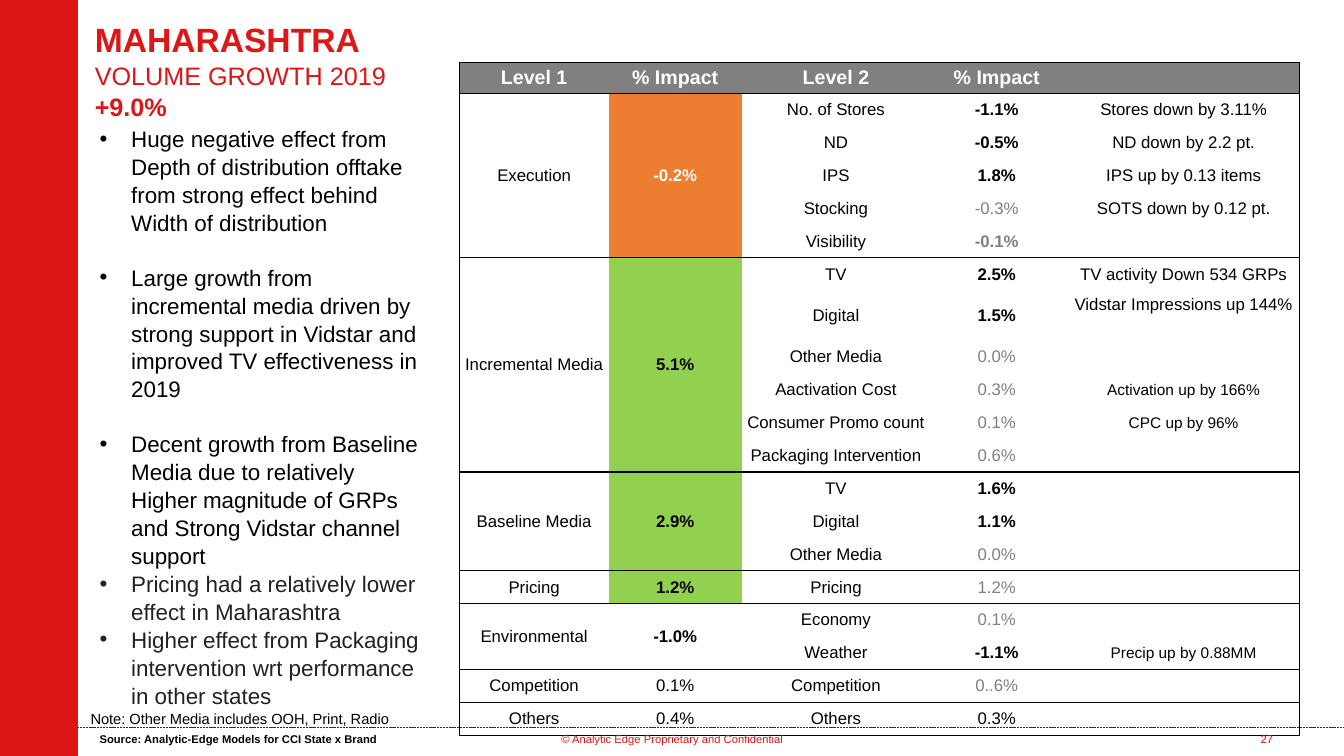
from lxml.etree import SubElement
from pptx import Presentation
from pptx.dml.color import RGBColor
from pptx.enum.dml import MSO_LINE
from pptx.enum.shapes import MSO_CONNECTOR, MSO_SHAPE
from pptx.enum.text import MSO_ANCHOR, MSO_AUTO_SIZE, PP_ALIGN
from pptx.oxml.ns import qn
from pptx.util import Pt

RED = RGBColor(0xDD, 0x16, 0x18)
PURE = RGBColor(0xFF, 0x00, 0x00)
BLACK = RGBColor(0x00, 0x00, 0x00)
INK = RGBColor(0x22, 0x22, 0x22)
RULE = RGBColor(0x2E, 0x2E, 0x30)
GRAY = RGBColor(0x80, 0x80, 0x80)
WHITE = RGBColor(0xFF, 0xFF, 0xFF)
ORANGE = RGBColor(0xED, 0x7D, 0x31)
GREEN = RGBColor(0x92, 0xD0, 0x50)

# Colour and weight of a table value
HEAD = (WHITE, True)
STRONG = (BLACK, True)
PLAIN = (BLACK, False)
FAINT = (GRAY, False)
DIM = (GRAY, True)


def write(para, text, size, color, bold=False):
    run = para.add_run()
    run.text = text
    font = run.font
    font.name = "Arial"
    font.size = Pt(size)
    font.bold = bold
    font.color.rgb = color


def fill_cell(cell, text, size, style, edges, fill=None):
    """Draw black lines on the sides named in edges, then fill and write."""
    props = cell._tc.get_or_add_tcPr()
    for side in "LRTB":
        line = SubElement(props, qn("a:ln" + side), w=str(Pt(1)))
        if side in edges:
            paint = SubElement(line, qn("a:solidFill"))
            SubElement(paint, qn("a:srgbClr"), val=str(BLACK))
        else:
            SubElement(line, qn("a:noFill"))
    if fill is None:
        cell.fill.background()
    else:
        cell.fill.solid()
        cell.fill.fore_color.rgb = fill
    cell.vertical_anchor = MSO_ANCHOR.MIDDLE
    cell.margin_left = cell.margin_right = Pt(0.72)
    cell.margin_top = cell.margin_bottom = Pt(0)
    if text:
        para = cell.text_frame.paragraphs[0]
        para.alignment = PP_ALIGN.CENTER
        write(para, text, size, *style)


prs = Presentation()
prs.slide_width, prs.slide_height = Pt(960), Pt(540)
slide = prs.slides.add_slide(prs.slide_layouts[1])
shapes = slide.shapes

# Footer rule and side bar
rule = shapes.add_connector(MSO_CONNECTOR.STRAIGHT, Pt(51), Pt(519.2), Pt(960), Pt(519.2))
rule.line.color.rgb = RULE
rule.line.width = Pt(0.5)
rule.line.dash_style = MSO_LINE.SQUARE_DOT
SubElement(rule._element.spPr, qn("a:effectLst"))

bar = shapes.add_shape(MSO_SHAPE.RECTANGLE, Pt(0), Pt(0), Pt(55.6), Pt(540))
bar.shadow.inherit = False
bar.fill.solid()
bar.fill.fore_color.rgb = RED
bar.line.fill.background()

# Title and bullets
title, body = shapes.title, slide.placeholders[1]
for holder, box in ((title, (60.5, 8.6, 738, 62)), (body, (64, 85, 247, 433.5))):
    holder.left, holder.top, holder.width, holder.height = map(Pt, box)
    frame = holder.text_frame
    frame.word_wrap = True
    frame.auto_size = MSO_AUTO_SIZE.NONE
    frame.vertical_anchor = MSO_ANCHOR.TOP

para = title.text_frame.paragraphs[0]
para.alignment = PP_ALIGN.LEFT
para.line_spacing = 1.04
write(para, "MAHARASHTRA", 24, RED, True)
para.add_line_break()
write(para, "VOLUME GROWTH 2019", 18, RED)
para.add_line_break()
write(para, "+9.0%", 18, RED, True)

points = [
    ("Huge negative effect from Depth of distribution offtake from strong effect "
     "behind Width of distribution", BLACK, 0),
    ("Large growth from incremental media driven by strong support in Vidstar and "
     "improved TV effectiveness in 2019", BLACK, 19.2),
    ("Decent growth from Baseline Media due to relatively Higher magnitude of GRPs "
     "and Strong Vidstar channel support", BLACK, 19.2),
    ("Pricing had a relatively lower effect in Maharashtra", INK, 0),
    ("Higher effect from Packaging intervention wrt performance in other states", INK, 0),
]
frame = body.text_frame
for i, (text, color, gap) in enumerate(points):
    para = frame.add_paragraph() if i else frame.paragraphs[0]
    props = para._p.get_or_add_pPr()
    props.set("marL", str(Pt(22.5)))
    props.set("indent", str(Pt(-22.5)))
    para.line_spacing = 1.04
    para.space_before = Pt(gap)
    SubElement(props, qn("a:buFont"), typeface="Arial")
    SubElement(props, qn("a:buChar"), char="•")
    write(para, text, 16, color)

# Impact table: level 1, impact, style, fill, then level 2 rows
groups = [
    ("Execution", "-0.2%", HEAD, ORANGE, [
        ("No. of Stores", "-1.1%", STRONG, "Stores down by 3.11%", 12),
        ("ND", "-0.5%", STRONG, "ND down by 2.2 pt.", 12),
        ("IPS", "1.8%", STRONG, "IPS up by 0.13 items", 12),
        ("Stocking", "-0.3%", FAINT, "SOTS down by 0.12 pt.", 12),
        ("Visibility", "-0.1%", DIM, "", 12)]),
    ("Incremental Media", "5.1%", STRONG, GREEN, [
        ("TV", "2.5%", STRONG, "TV activity Down 534 GRPs", 12),
        ("Digital", "1.5%", STRONG, "Vidstar Impressions up 144%", 12),
        ("Other Media", "0.0%", FAINT, "", 12),
        ("Aactivation Cost", "0.3%", FAINT, "Activation up by 166%", 11),
        ("Consumer Promo count", "0.1%", FAINT, "CPC up by 96%", 11),
        ("Packaging Intervention", "0.6%", FAINT, "", 12)]),
    ("Baseline Media", "2.9%", STRONG, GREEN, [
        ("TV", "1.6%", STRONG, "", 12),
        ("Digital", "1.1%", STRONG, "", 12),
        ("Other Media", "0.0%", FAINT, "", 12)]),
    ("Pricing", "1.2%", STRONG, GREEN, [("Pricing", "1.2%", FAINT, "", 12)]),
    ("Environmental", "-1.0%", STRONG, None, [
        ("Economy", "0.1%", FAINT, "", 12),
        ("Weather", "-1.1%", STRONG, "Precip up by 0.88MM", 11)]),
    ("Competition", "0.1%", PLAIN, None, [("Competition", "0..6%", FAINT, "", 12)]),
    ("Others", "0.4%", PLAIN, None, [("Others", "0.3%", PLAIN, "", 12)]),
]
count = 1 + sum(len(group[4]) for group in groups)
grid = shapes.add_table(count, 5, Pt(328.3), Pt(44.6), Pt(600), Pt(480)).table
grid.first_row = grid.horz_banding = False
for col, width in zip(grid.columns, (106.5, 95, 134.7, 95, 168.5)):
    col.width = Pt(width)
for row in grid.rows:
    row.height = Pt(23.5)
grid.rows[0].height = Pt(21.8)
tall = 7
grid.rows[tall].height = Pt(35.6)

sides = ("L", "", "", "", "R")
for c, text in enumerate(("Level 1", "% Impact", "Level 2", "% Impact", "")):
    fill_cell(grid.cell(0, c), text, 14, HEAD, "TB" + sides[c], GRAY)

r = 1
for name, impact, tone, fill, rows in groups:
    last = r + len(rows) - 1
    for i, (label, value, style, note, size) in enumerate(rows):
        edges = ("" if i else "T") + ("B" if r == last else "")
        cells = [("" if i else name, 12, PLAIN, None), ("" if i else impact, 12, tone, fill),
                 (label, 12, PLAIN, None), (value, 12, style, None), (note, size, PLAIN, None)]
        for c, (text, pts, look, back) in enumerate(cells):
            fill_cell(grid.cell(r, c), text, pts, look, edges + sides[c], back)
        grid.cell(r, 4).margin_left = Pt(7.2)
        grid.cell(r, 4).margin_right = Pt(3.6)
        r += 1
    if len(rows) > 1:
        for c in (0, 1):
            grid.cell(last - len(rows) + 1, c).merge(grid.cell(last, c))
grid.cell(tall, 4).margin_bottom = Pt(15)

# Footer texts and note
footers = [
    ((379.5, 519.8, 201.6, 28.8), "© Analytic Edge Proprietary and Confidential", 8, RED, False, PP_ALIGN.CENTER),
    ((882.7, 519.8, 44.6, 28.8), "27", 8, PURE, False, PP_ALIGN.CENTER),
    ((64, 519.8, 214.6, 17.3), "Source: Analytic-Edge Models for CCI State x Brand", 8, BLACK, True, PP_ALIGN.LEFT),
    ((57.6, 503.3, 407.5, 20.9), "Note: Other Media includes OOH, Print, Radio", 10.5, BLACK, False, PP_ALIGN.LEFT),
]
for box, text, size, color, bold, align in footers:
    frame = shapes.add_textbox(*map(Pt, box)).text_frame
    frame.word_wrap = True
    para = frame.paragraphs[0]
    para.alignment = align
    write(para, text, size, color, bold)

prs.save("out.pptx")
